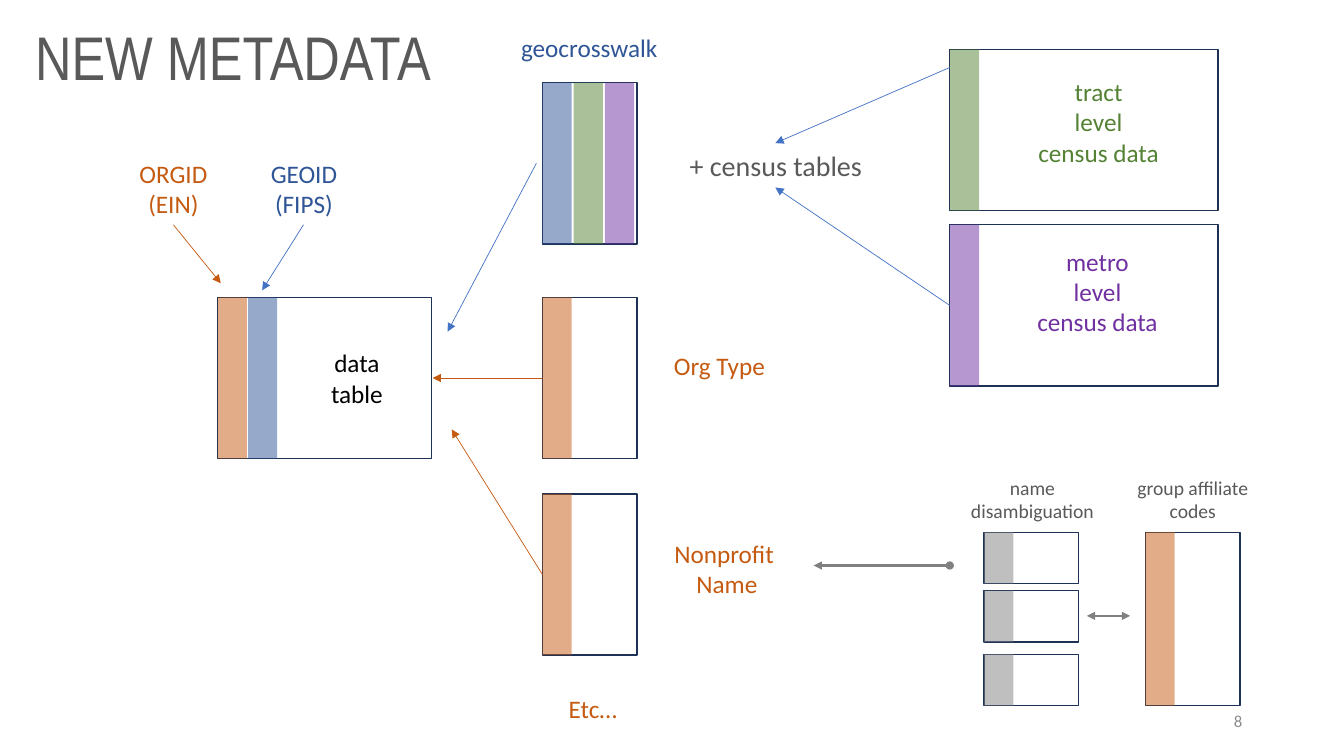
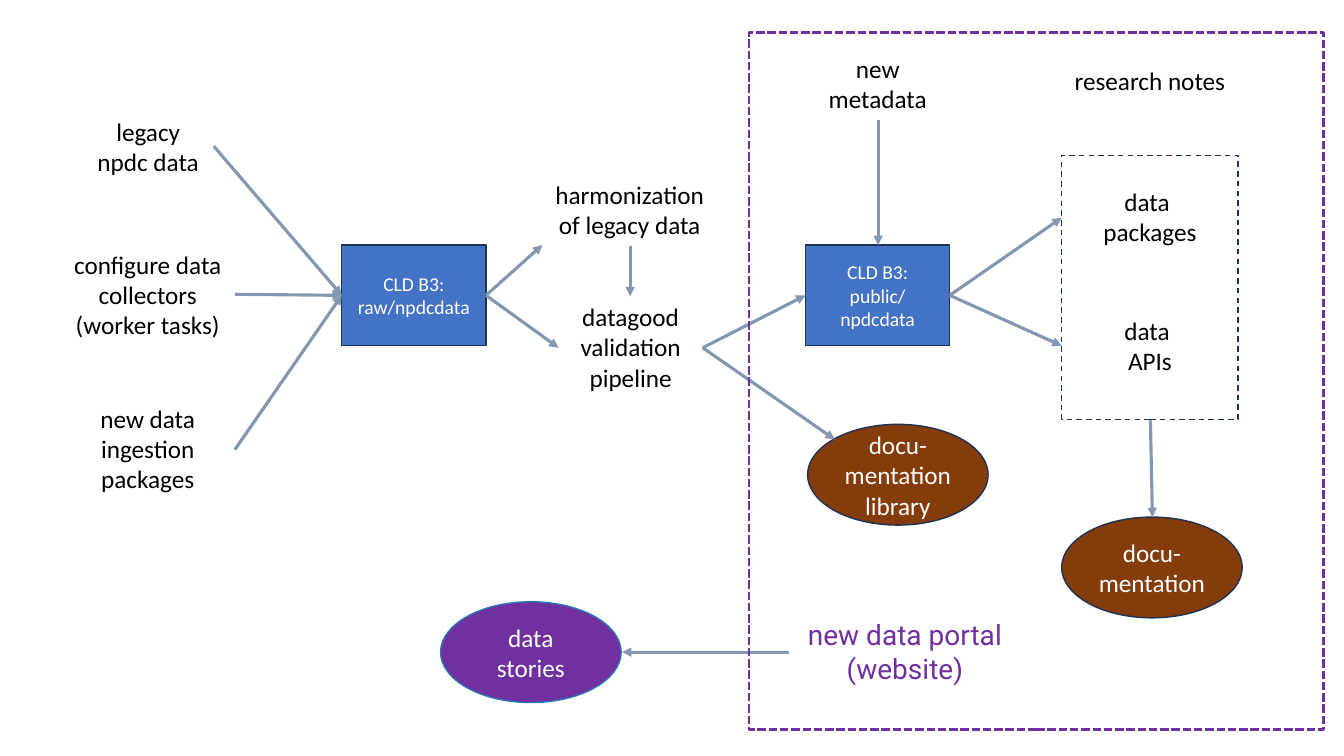
"""Build two slides: the new metadata tables and the data pipeline."""
from lxml.etree import SubElement
from pptx import Presentation
from pptx.dml.color import RGBColor
from pptx.enum.dml import MSO_LINE
from pptx.enum.shapes import MSO_CONNECTOR, MSO_SHAPE
from pptx.enum.text import MSO_ANCHOR, PP_ALIGN
from pptx.oxml.ns import qn
from pptx.util import Inches, Pt

COLORS = {
    "black": "000000", "white": "FFFFFF", "text": "595959", "number": "8C8C8C",
    "navy": "1E3256", "blue": "2F5597", "bright": "4472C4", "sky": "2E75B6",
    "orange": "C55A11", "green": "548235", "purple": "7030A0",
    "gray": "808080", "brown": "843C0B", "steel": "8497B0",
}
RGB = {name: RGBColor.from_string(value) for name, value in COLORS.items()}
RECT, OVAL = MSO_SHAPE.RECTANGLE, MSO_SHAPE.OVAL


def add_box(s, at, text="", color="black", size=18, font="Calibri", align=PP_ALIGN.CENTER,
            shape=None, fill=None, alpha=None, line=None, width=1, dash=None, wrap=True):
    at = [Inches(v) for v in at]
    if shape is None:
        sp = s.shapes.add_textbox(*at)
    else:
        sp = s.shapes.add_shape(shape, *at)
        sp.shadow.inherit = False
        if fill:
            sp.fill.solid()
            sp.fill.fore_color.rgb = RGB[fill]
        else:
            sp.fill.background()
        if alpha:
            clr = sp._element.spPr.find(qn("a:solidFill")).find(qn("a:srgbClr"))
            SubElement(clr, qn("a:alpha"), val=str(alpha * 1000))
        if line:
            sp.line.color.rgb = RGB[line]
            sp.line.width = Pt(width)
            if dash:
                sp.line.dash_style = dash
        else:
            sp.line.fill.background()
    if text:
        tf = sp.text_frame
        tf.text = text
        tf.word_wrap = wrap
        tf.vertical_anchor = MSO_ANCHOR.MIDDLE if shape else MSO_ANCHOR.TOP
        for p in tf.paragraphs:
            p.alignment = align
            for r in p.runs:
                r.font.size = Pt(size)
                r.font.name = font
                r.font.color.rgb = RGB[color]
    return sp


def add_arrow(s, x1, y1, x2, y2, color="steel", width=2.25, head=None, tail="triangle"):
    c = s.shapes.add_connector(MSO_CONNECTOR.STRAIGHT, *[Inches(v) for v in (x1, y1, x2, y2)])
    c.line.color.rgb = RGB[color]
    c.line.width = Pt(width)
    ln = c._element.spPr.find(qn("a:ln"))
    if head:
        SubElement(ln, qn("a:headEnd"), type=head)
    SubElement(ln, qn("a:tailEnd"), type=tail)
    SubElement(c._element.spPr, qn("a:effectLst"))


prs = Presentation()
prs.slide_width, prs.slide_height = Inches(13.33), Inches(7.5)
blank = prs.slide_layouts[6]

s = prs.slides.add_slide(blank)
number = add_box(s, (9.42, 6.95, 3, 0.4), "8", "number", 12, align=PP_ALIGN.RIGHT)
number.text_frame.vertical_anchor = MSO_ANCHOR.MIDDLE

tables = [
    (2.16, 2.95, 2.12, 1.6, 0.3, ["orange", "blue"]),
    (5.38, 0.82, 0.94, 1.6, 0.31, ["blue", "green", "purple"]),
    (5.38, 2.95, 0.94, 1.6, 0.3, ["orange"]),
    (5.38, 4.9, 0.94, 1.6, 0.3, ["orange"]),
    (9.42, 0.49, 2.66, 1.6, 0.3, ["green"]),
    (9.42, 2.23, 2.66, 1.6, 0.3, ["purple"]),
    (9.76, 5.28, 0.94, 0.51, 0.3, ["gray"]),
    (9.76, 5.86, 0.94, 0.51, 0.3, ["gray"]),
    (9.76, 6.49, 0.94, 0.51, 0.3, ["gray"]),
    (11.36, 5.28, 0.94, 1.72, 0.3, ["orange"]),
]
for x, y, w, h, pitch, keys in tables:
    add_box(s, (x, y, w, h), shape=RECT, line="navy")
    for i, key in enumerate(keys):
        add_box(s, (x + i * pitch, y, 0.29, h), shape=RECT, fill=key, alpha=50)

labels = [
    ((1.28, 1.52, 0.88, 0.71), "ORGID\n(EIN)", "orange", 18),
    ((2.58, 1.52, 0.87, 0.71), "GEOID\n(FIPS)", "blue", 18),
    ((5.06, 0.27, 1.57, 0.4), "geocrosswalk", "blue", 18),
    ((6.73, 1.42, 1.93, 0.44), "+ census tables", "text", 20),
    ((10.19, 0.71, 1.41, 1.01), "tract\nlevel\ncensus data", "green", 18),
    ((10.18, 2.39, 1.41, 1.01), "metro\nlevel\ncensus data", "purple", 18),
    ((6.58, 3.43, 1.11, 0.4), "Org Type", "orange", 18),
    ((6.58, 5.29, 1.26, 0.71), "Nonprofit \nName", "orange", 18),
    ((5.53, 6.83, 0.7, 0.4), "Etc…", "orange", 18),
    ((3.18, 3.4, 0.72, 0.71), "data\ntable", "black", 18),
    ((9.48, 4.67, 1.52, 0.57), "name\ndisambiguation", "text", 14),
    ((11.07, 4.67, 1.52, 0.57), "group affiliate\ncodes", "text", 14),
]
for at, text, color, size in labels:
    add_box(s, at, text, color, size, wrap=False)

key_arrows = {
    "bright": [(3.01, 2.23, 2.6, 2.88), (9.42, 0.67, 7.69, 1.42),
               (9.42, 3.03, 7.69, 1.86), (5.32, 1.62, 4.44, 3.29)],
    "orange": [(1.72, 2.23, 2.19, 2.81), (5.38, 5.7, 4.48, 4.26),
               (5.38, 3.75, 4.29, 3.75)],
}
for color, ends in key_arrows.items():
    for end in ends:
        add_arrow(s, *end, color, 0.5)
add_arrow(s, 8.07, 5.61, 9.42, 5.61, "gray", 1.5, "triangle", "oval")
add_arrow(s, 10.78, 6.11, 11.21, 6.11, "gray", 1.5, "triangle")

title = add_box(s, (0.25, 0.22, 11.5, 1.45), "NEW METADATA", "text", 44,
                "Arial Narrow", PP_ALIGN.LEFT)
title.text_frame.paragraphs[0].line_spacing = 0.9

s = prs.slides.add_slide(blank)
steps = [
    ((0.82, 1.1, 1.3, 0.71), "legacy npdc data"),
    ((0.61, 2.42, 1.71, 1.01), "configure data collectors (worker tasks)"),
    ((0.61, 3.95, 1.71, 1.01), "new data ingestion packages"),
    ((5.37, 1.73, 1.75, 0.71), "harmonization\nof legacy data"),
    ((5.54, 2.94, 1.43, 1.01), "datagood validation pipeline"),
    ((7.83, 0.48, 1.75, 0.71), "new\nmetadata"),
    ((10.53, 1.8, 1.75, 0.71), "data \npackages"),
    ((10.53, 3.08, 1.75, 0.71), "data \nAPIs"),
]
for at, text in steps:
    add_box(s, at, text)
add_box(s, (10.56, 0.6, 1.71, 0.4), "research notes", align=PP_ALIGN.LEFT, wrap=False)

for x, text in [(3.39, "CLD B3:\nraw/npdcdata"), (7.99, "CLD B3:\npublic/\nnpdcdata")]:
    add_box(s, (x, 2.43, 1.43, 1), text, "white", 14, shape=RECT, fill="bright", line="navy")

ovals = [
    (8.01, 4.21, "docu-mentation\nlibrary", "brown", "navy"),
    (10.53, 5.13, "docu-mentation", "brown", "navy"),
    (4.37, 5.97, "data\nstories", "purple", "sky"),
]
for x, y, text, fill, line in ovals:
    add_box(s, (x, y, 1.79, 1), text, "white", shape=OVAL, fill=fill, line=line)

flows = [
    (2.12, 1.45, 3.39, 2.93), (2.33, 2.92, 3.39, 2.93), (2.33, 4.46, 3.39, 2.93),
    (4.82, 2.93, 5.38, 2.43), (4.82, 2.93, 5.54, 3.45), (6.25, 2.44, 6.25, 2.94),
    (6.97, 3.45, 7.99, 2.93), (6.97, 3.45, 8.28, 4.36), (8.71, 1.19, 8.71, 2.43),
    (9.42, 2.93, 10.53, 2.16), (9.42, 2.93, 10.53, 3.43), (11.41, 4.17, 11.43, 5.13),
    (7.83, 6.47, 6.17, 6.47),
]
for ends in flows:
    add_arrow(s, *ends)

add_box(s, (10.53, 1.54, 1.75, 2.62), shape=RECT, line="navy", dash=MSO_LINE.DASH)
add_box(s, (7.43, 0.32, 5.7, 6.92), shape=RECT, line="purple", width=2,
        dash=MSO_LINE.SQUARE_DOT)
add_box(s, (7.83, 6.08, 2.29, 0.77), "new data portal\n(website)", "purple", 20, "Roboto")

prs.save("out.pptx")
